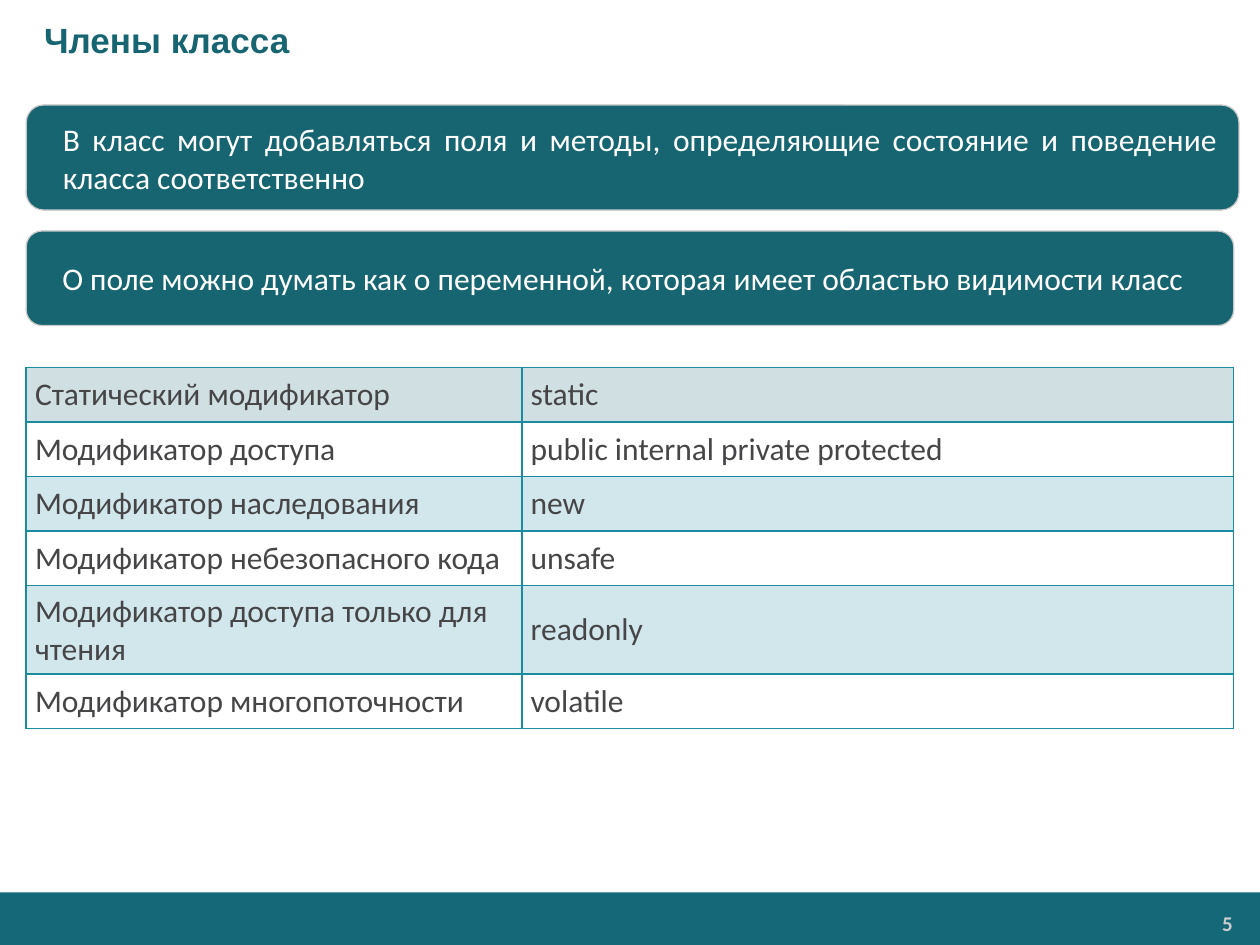
import pptx
import pptx.util
import pptx.oxml
import pptx.oxml.ns
import pptx.dml.color
import pptx.enum.shapes
import pptx.enum.text

Pt, Inches = pptx.util.Pt, pptx.util.Inches
RGB = pptx.dml.color.RGBColor.from_string
Shape = pptx.enum.shapes.MSO_SHAPE
Align = pptx.enum.text.PP_ALIGN
Mid = pptx.enum.text.MSO_ANCHOR.MIDDLE

theme = {
    "bar": "146878", "main": "176571", "edge": "C8C8C8", "rule": "1B8BA0",
    "ink": "464547", "light": "FFFFFF", "page": "CCCCCC",
    "head": 20, "body": 18, "note": 12,
    "title": "Arial", "text": "Calibri",
}

deck = pptx.Presentation()
deck.slide_width, deck.slide_height = Inches(10), Inches(7.5)
slide = deck.slides.add_slide(deck.slide_layouts[6])

# Grid: 240 columns by 180 rows of equal square units
unit = deck.slide_width / 240
left, wide = 5, 230


def grid(*spans):
    return [round(span * unit) for span in spans]


def write(frame, words, size, color, font="text", bold=False,
          align=Align.LEFT, pad=(0.1, 0.05, 0.1, 0.05)):
    sides = ("margin_left", "margin_top", "margin_right", "margin_bottom")
    look = dict(zip(sides, map(Inches, pad)), word_wrap=True, vertical_anchor=Mid)
    for name, value in look.items():
        setattr(frame, name, value)
    para = frame.paragraphs[0]
    para.alignment = align
    run = para.add_run()
    run.text = words
    for name, value in {"size": Pt(theme[size]), "name": theme[font], "bold": bold}.items():
        setattr(run.font, name, value)
    run.font.color.rgb = RGB(theme[color])


# Footer bar and page number
bar = slide.shapes.add_shape(Shape.RECTANGLE, *grid(0, 170, 240, 10))
bar.shadow.inherit = False
bar.fill.solid()
bar.fill.fore_color.rgb = RGB(theme["bar"])
bar.line.fill.background()
page = slide.shapes.add_textbox(*grid(197.5, 172.5, 39, 6.7))
write(page.text_frame, "5", "note", "page", bold=True, align=Align.RIGHT,
      pad=(0.07, 0.04, 0.07, 0.04))

# Title
title = slide.shapes.add_textbox(*grid(0, 0, 240, 15))
write(title.text_frame, "Члены класса", "head", "main", "title", True,
      pad=(0.35, 0.05, 0.1, 0.05))

# Rounded statements: top, width, height, words
cards = [
    (20, wide + 1, 20, "В класс могут добавляться поля и методы, "
     "определяющие состояние и поведение класса соответственно"),
    (44, wide, 18, "О поле можно думать как о переменной, "
     "которая имеет областью видимости класс"),
]
for top, span, tall, words in cards:
    card = slide.shapes.add_shape(Shape.ROUNDED_RECTANGLE, *grid(left, top, span, tall))
    card.shadow.inherit = False
    card.fill.solid()
    card.fill.fore_color.rgb = RGB(theme["main"])
    card.line.color.rgb = RGB(theme["edge"])
    card.line.width = Pt(0.75)
    write(card.text_frame, words, "body", "light", align=Align.JUSTIFY,
          pad=(0.25, 0.06, 0.13, 0.06))

# Table of modifiers
rows = [
    ("Статический модификатор", "static"),
    ("Модификатор доступа", "public internal private protected"),
    ("Модификатор наследования", "new"),
    ("Модификатор небезопасного кода", "unsafe"),
    ("Модификатор доступа только для чтения", "readonly"),
    ("Модификатор многопоточности", "volatile"),
]
step = 10.4
table = slide.shapes.add_table(
    len(rows), 2, *grid(left, 70, wide, step * len(rows))).table
table.first_row = table.horz_banding = False
for col, span in zip(table.columns, grid(94.4, wide - 94.4)):
    col.width = span

space = pptx.oxml.ns.nsdecls("a")
for i, pair in enumerate(rows):
    for j, words in enumerate(pair):
        cell = table.cell(i, j)
        write(cell.text_frame, words, "body", "ink")
        cell.vertical_anchor = Mid
        for side, inch in zip(("left", "top", "right", "bottom"), (0.07, 0.05) * 2):
            setattr(cell, f"margin_{side}", Inches(inch))

        # Every other row is tinted at 20 % opacity
        props = cell._tc.get_or_add_tcPr()
        if i % 2:
            cell.fill.background()
        else:
            cell.fill.solid()
            cell.fill.fore_color.rgb = RGB(theme["rule" if i else "main"])
            tint = props.find(".//" + pptx.oxml.ns.qn("a:srgbClr"))
            tint.append(pptx.oxml.parse_xml(f'<a:alpha {space} val="20000"/>'))

        # Borders come before the fill
        for k, side in enumerate("LRTB"):
            props.insert(k, pptx.oxml.parse_xml(
                f'<a:ln{side} {space} w="{Pt(1)}"><a:solidFill>'
                f'<a:srgbClr val="{theme["rule"]}"/></a:solidFill></a:ln{side}>'))

deck.save("out.pptx")
